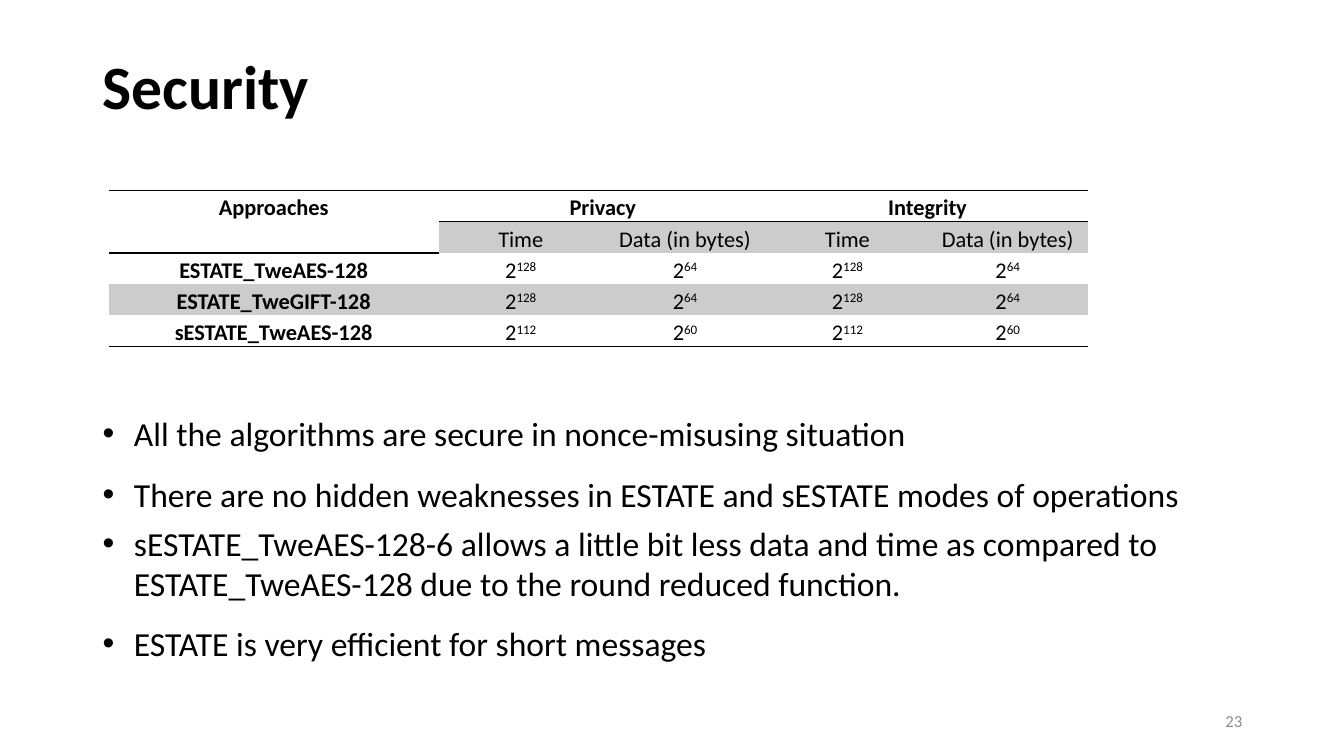
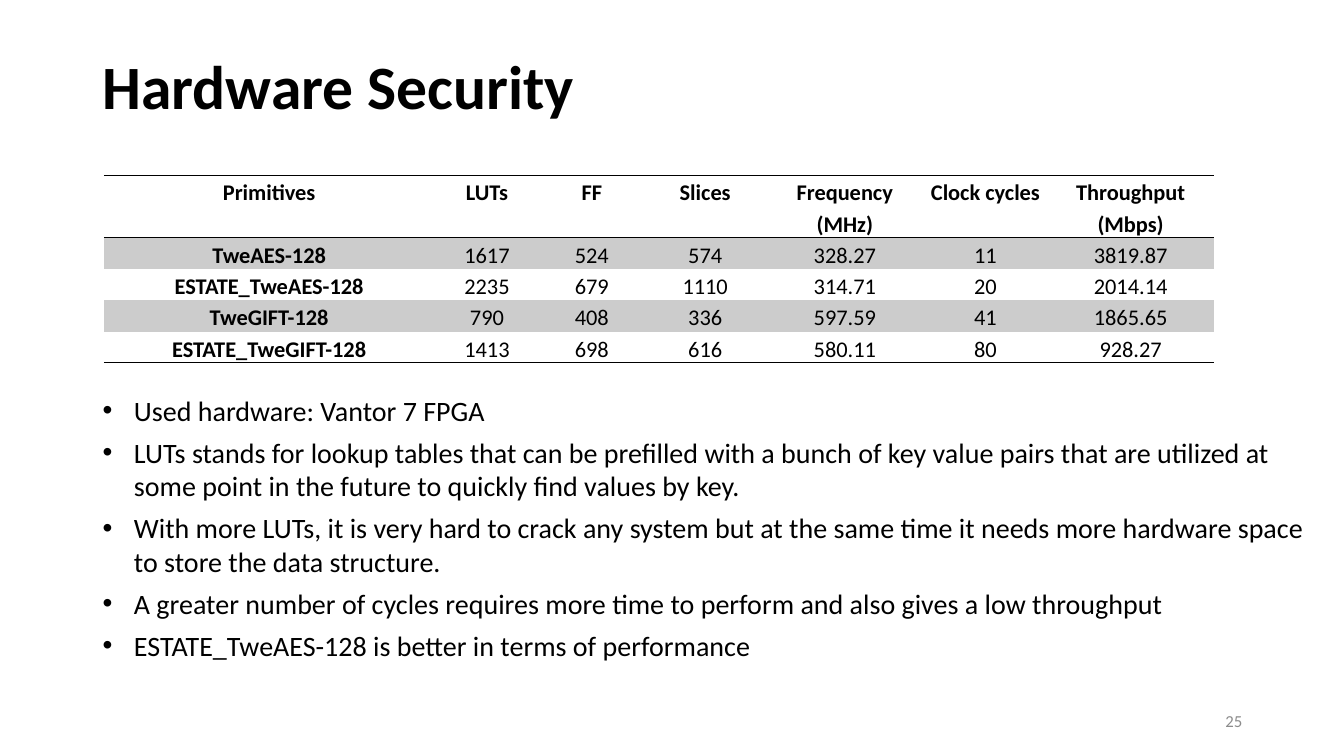
"""Build two slides on the security and hardware cost of ESTATE."""
import lxml.etree
import pptx
import pptx.dml.color
import pptx.enum.text
import pptx.oxml.ns
import pptx.util

Inches, Pt = pptx.util.Inches, pptx.util.Pt
RGBColor = pptx.dml.color.RGBColor
ALIGN, ANCHOR = pptx.enum.text.PP_ALIGN, pptx.enum.text.MSO_ANCHOR
qn = pptx.oxml.ns.qn

BLACK = RGBColor(0x00, 0x00, 0x00)
BAND = RGBColor(0xCC, 0xCC, 0xCC)
GRAY = RGBColor(0x8C, 0x8C, 0x8C)
FONT = "Calibri"
NO_GRID_STYLE = "{2D5ABB26-0587-4C30-8999-92F81FD0307C}"
ROW_HEIGHT = 0.31
INDENT = 0.31

SLIDES = [
    {
        "title": "Security",
        "number": "23",
        "table_at": (1.08, 1.89),
        "columns": [3.27, 1.63, 1.63, 1.59, 1.59],
        "header_lines": 1,
        "merges": [(0, 0, 1, 0), (0, 1, 0, 2), (0, 3, 0, 4)],
        "rows": [
            ["Approaches", "Privacy", None, "Integrity", None],
            [None, "Time", "Data (in bytes)", "Time", "Data (in bytes)"],
            ["ESTATE_TweAES-128", "2^128", "2^64", "2^128", "2^64"],
            ["ESTATE_TweGIFT-128", "2^128", "2^64", "2^128", "2^64"],
            ["sESTATE_TweAES-128", "2^112", "2^60", "2^112", "2^60"],
        ],
        "body_size": (10.94, 2.75),
        "font_size": 24,
        "bullets": [
            ("All the algorithms are secure in nonce-misusing situation", 1.5, 0),
            ("There are no hidden weaknesses in ESTATE and sESTATE modes of operations", 1.5, 6),
            ("sESTATE_TweAES-128-6 allows a little bit less data and time as compared to "
             "ESTATE_TweAES-128 due to the round reduced function.", 1, 0),
            ("ESTATE is very efficient for short messages", 1.5, 0),
        ],
    },
    {
        "title": "Hardware Security",
        "number": "25",
        "table_at": (1.03, 1.74),
        "columns": [3.28, 1.04, 1.04, 1.21, 1.56, 1.23, 1.65],
        "header_lines": 2,
        "merges": [],
        "rows": [
            ["Primitives", "LUTs", "FF", "Slices", "Frequency\n(MHz)", "Clock cycles",
             "Throughput\n(Mbps)"],
            ["TweAES-128", "1617", "524", "574", "328.27", "11", "3819.87"],
            ["ESTATE_TweAES-128", "2235", "679", "1110", "314.71", "20", "2014.14"],
            ["TweGIFT-128", "790", "408", "336", "597.59", "41", "1865.65"],
            ["ESTATE_TweGIFT-128", "1413", "698", "616", "580.11", "80", "928.27"],
        ],
        "body_size": (12.19, 2.79),
        "font_size": 20,
        "bullets": [
            ("Used hardware: Vantor 7 FPGA", 1, 6),
            ("LUTs stands for lookup tables that can be prefilled with a bunch of key value "
             "pairs that are utilized at some point in the future to quickly find values by "
             "key.", 1, 6),
            ("With more LUTs, it is very hard to crack any system but at the same time it "
             "needs more hardware space to store the data structure.", 1, 6),
            ("A greater number of cycles requires more time to perform and also gives a low "
             "throughput", 1, 6),
            ("ESTATE_TweAES-128 is better in terms of performance", 1, 6),
        ],
    },
]


def write(tf, text, size, bold=False, color=BLACK, align=ALIGN.LEFT, spacing=1, after=0,
          bullet=False):
    """Append text to a frame; ^ marks a superscript and a newline a new paragraph."""
    for line in text.split("\n"):
        p = tf.paragraphs[-1]
        if p.runs:
            p = tf.add_paragraph()
        p.alignment, p.line_spacing, p.space_after = align, spacing, Pt(after)
        for i, part in enumerate(line.split("^")):
            r = p.add_run()
            r.text = part
            r.font.name, r.font.size, r.font.bold = FONT, Pt(size), bold
            r.font.color.rgb = color
            if i:
                r.font._element.set("baseline", "30000")
        if bullet:
            pPr = p._p.get_or_add_pPr()
            pPr.set("marL", str(Inches(INDENT)))
            pPr.set("indent", str(-Inches(INDENT)))
            lxml.etree.SubElement(pPr, qn("a:buFont")).set("typeface", "Arial")
            lxml.etree.SubElement(pPr, qn("a:buChar")).set("char", "•")


def add_box(s, left, top, width, height, anchor=ANCHOR.TOP):
    """Add a wrapping text box and return its text frame."""
    sp = s.shapes.add_textbox(Inches(left), Inches(top), Inches(width), Inches(height))
    tf = sp.text_frame
    tf.word_wrap, tf.vertical_anchor = True, anchor
    return tf


def add_rule(cell, side):
    """Draw a thin black line on one side of a cell."""
    ln = lxml.etree.Element(qn("a:" + side), w=str(Pt(1)))
    fill = lxml.etree.SubElement(ln, qn("a:solidFill"))
    lxml.etree.SubElement(fill, qn("a:srgbClr")).set("val", str(BLACK))
    cell._tc.get_or_add_tcPr().insert(0, ln)


def add_table(s, data):
    """Add a ruled table with every second row shaded."""
    rows, columns = data["rows"], data["columns"]
    heights = [ROW_HEIGHT * data["header_lines"]] + [ROW_HEIGHT] * (len(rows) - 1)
    left, top = data["table_at"]
    frame = s.shapes.add_table(len(rows), len(columns), Inches(left), Inches(top),
                               Inches(sum(columns)), Inches(sum(heights)))
    table = frame.table
    table.first_row = table.horz_banding = False
    next(frame.element.iter(qn("a:tableStyleId"))).text = NO_GRID_STYLE
    for column, width in zip(table.columns, columns):
        column.width = Inches(width)
    for row, height in zip(table.rows, heights):
        row.height = Inches(height)
    for r1, c1, r2, c2 in data["merges"]:
        table.cell(r1, c1).merge(table.cell(r2, c2))
    for i, row in enumerate(rows):
        for j, text in enumerate(row):
            cell = table.cell(i, j)
            cell.margin_left = cell.margin_right = Inches(0.07)
            cell.margin_top = cell.margin_bottom = 0
            if text is None:
                cell.fill.background()
                continue
            write(cell.text_frame, text, 16, bold=i == 0 or j == 0, align=ALIGN.CENTER,
                  spacing=1.15)
            if i % 2:
                cell.fill.solid()
                cell.fill.fore_color.rgb = BAND
            else:
                cell.fill.background()
            if i in (0, len(rows) - 1):
                add_rule(cell, "lnB")
            if i == 0:
                add_rule(cell, "lnT")


def add_slide(prs, data):
    """Add one slide with its title, table, bullets and page number."""
    s = prs.slides.add_slide(prs.slide_layouts[6])
    write(add_box(s, 0.92, 0.4, 11.5, 0.97, ANCHOR.MIDDLE), data["title"], 44, bold=True,
          spacing=0.9)
    add_table(s, data)
    body = add_box(s, 0.92, 3.85, *data["body_size"])
    for text, spacing, after in data["bullets"]:
        write(body, text, data["font_size"], spacing=spacing, after=after, bullet=True)
    write(add_box(s, 9.42, 6.95, 3, 0.4, ANCHOR.MIDDLE), data["number"], 12, color=GRAY,
          align=ALIGN.RIGHT)


def main():
    """Build and save the presentation."""
    prs = pptx.Presentation()
    prs.slide_width, prs.slide_height = Inches(13.33), Inches(7.5)
    for data in SLIDES:
        add_slide(prs, data)
    prs.save("out.pptx")


if __name__ == "__main__":
    main()
